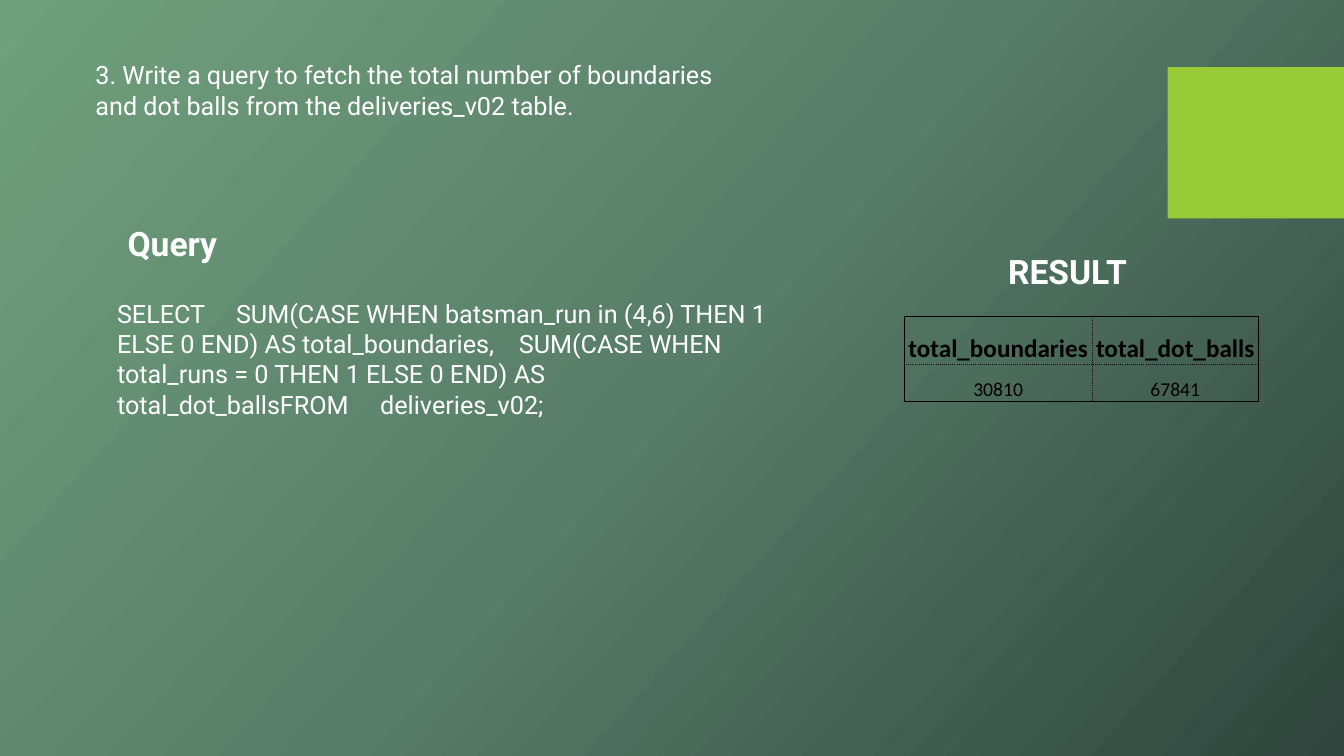
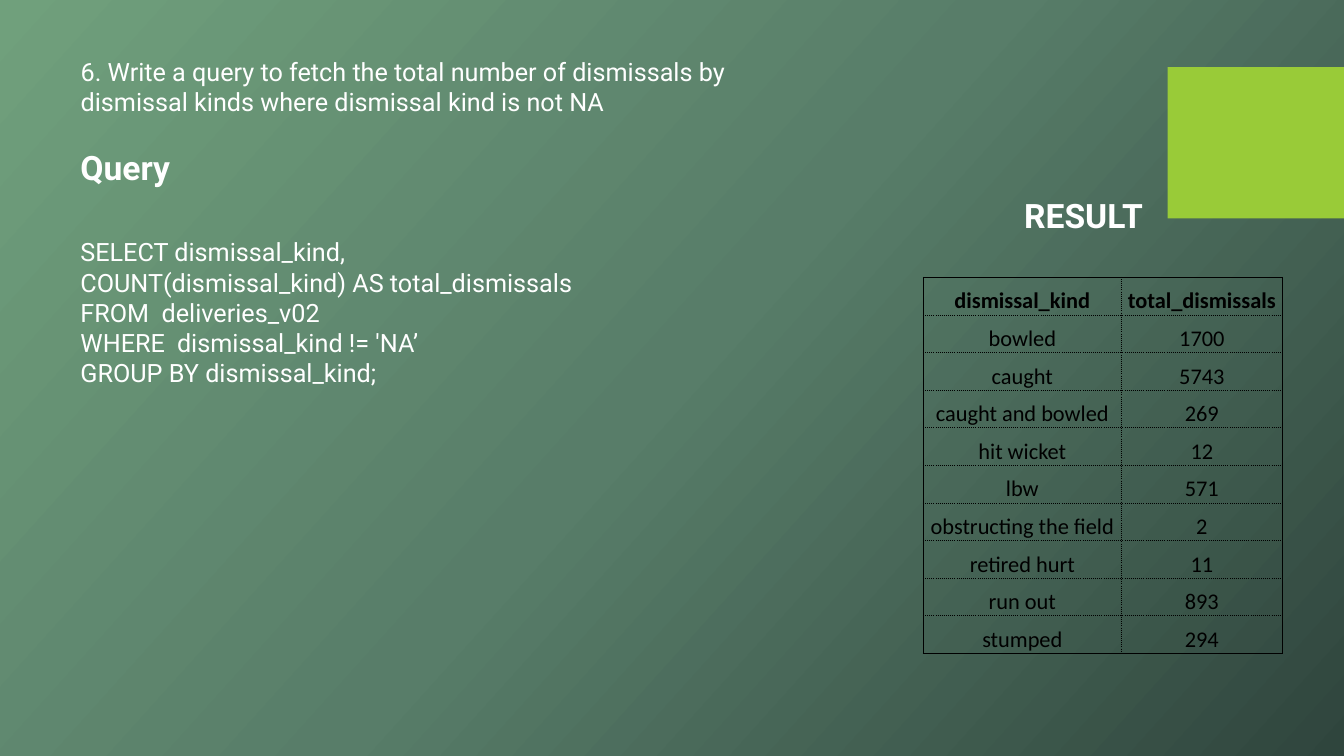
from lxml.etree import SubElement as Sub
from pptx import Presentation
from pptx.dml.color import RGBColor as RGB
from pptx.enum.shapes import MSO_SHAPE as SHAPE
from pptx.enum.text import MSO_ANCHOR as ANCHOR, MSO_AUTO_SIZE as FIT, PP_ALIGN as ALIGN
from pptx.oxml.ns import qn
from pptx.util import Pt

WHITE = RGB(0xFF, 0xFF, 0xFF)
BLACK = RGB(0, 0, 0)
LIME = RGB(0x99, 0xCB, 0x38)
FADE = {0: RGB(0x70, 0xA0, 0x7C), 50: RGB(0x58, 0x7D, 0x69), 100: RGB(0x2F, 0x45, 0x3D)}

BODY = dict(name="Roboto", size=Pt(18), bold=False)
HEAD = dict(name="Roboto", size=Pt(24), bold=True)
FRAME = dict(word_wrap=True, auto_size=FIT.SHAPE_TO_FIT_TEXT, vertical_anchor=ANCHOR.TOP)
CELL = dict(vertical_anchor=ANCHOR.BOTTOM, margin_left=Pt(0.7), margin_right=Pt(0.7),
            margin_top=Pt(0.7), margin_bottom=0)

PAGES = [
    dict(
        ask=("3. Write a query to fetch the total number of boundaries and dot balls "
             "from the deliveries_v02 table.", (61, 39, 480, 51)),
        query=(84, 155.5, 303, 36),
        result=(713, 175.5, 186, 36),
        code=("SELECT\tSUM(CASE WHEN batsman_run in (4,6) THEN 1 ELSE 0 END) AS "
              "total_boundaries,\tSUM(CASE WHEN total_runs = 0 THEN 1 ELSE 0 END) AS "
              "total_dot_ballsFROM\tdeliveries_v02;", (76.5, 209.5, 480, 94)),
        tabs=(85, 188, 287),
        grid=dict(at=(646, 226), cols=(134, 119), tall=(34, 27), sizes=(18, 14), rows=[
            ("total_boundaries", "total_dot_balls"),
            ("30810", "67841"),
        ]),
    ),
    dict(
        ask=("6. Write a query to fetch the total number of dismissals by dismissal kinds "
             "where dismissal kind is not NA", (50.4, 36.7, 480, 51)),
        query=(50.4, 101.5, 254, 36),
        result=(724.5, 135.5, 235, 36),
        code=("SELECT dismissal_kind,\n"
              "COUNT(dismissal_kind) AS total_dismissals\n"
              "FROM\tdeliveries_v02\n"
              "WHERE\tdismissal_kind != 'NA’\n"
              "GROUP BY dismissal_kind;", (50.4, 165.6, 482, 117)),
        tabs=(58, 69),
        grid=dict(at=(659.5, 198), cols=(141.5, 115), tall=(26.9, 26.9), sizes=(16, 16), rows=[
            ("dismissal_kind", "total_dismissals"),
            ("bowled", "1700"),
            ("caught", "5743"),
            ("caught and bowled", "269"),
            ("hit wicket", "12"),
            ("lbw", "571"),
            ("obstructing the field", "2"),
            ("retired hurt", "11"),
            ("run out", "893"),
            ("stumped", "294"),
        ]),
    ),
]


def apply(item, look):
    for key, value in look.items():
        setattr(item, key, value)


def paint(master):
    """Give every slide the diagonal green fade."""
    master.background.fill.gradient()
    grad = master.element.find(".//" + qn("a:gradFill"))
    for part in list(grad):
        grad.remove(part)
    stops = Sub(grad, qn("a:gsLst"))
    for place, color in FADE.items():
        stop = Sub(stops, qn("a:gs"), pos=str(place * 1000))
        Sub(stop, qn("a:srgbClr"), val=str(color))
    Sub(grad, qn("a:lin"), ang=str(42 * 60000), scaled="0")


def write(shape, text, box, look, tabs=()):
    """Place a text shape and format its paragraphs."""
    apply(shape, dict(zip(("left", "top", "width", "height"), map(Pt, box))))
    frame = shape.text_frame
    frame.text = text
    apply(frame, FRAME)
    for para in frame.paragraphs:
        para.alignment = ALIGN.LEFT
        apply(para.runs[0].font, look)
        para.runs[0].font.color.rgb = WHITE
        if tabs:
            stops = Sub(para._p.get_or_add_pPr(), qn("a:tabLst"))
            for tab in tabs:
                Sub(stops, qn("a:tab"), pos=str(Pt(tab)), algn="l")


def label(slide, text, box, look, tabs=()):
    write(slide.shapes.add_textbox(0, 0, 0, 0), text, box, look, tabs)


def edge(cell, solid):
    """Rule the cell: solid on the table's rim, dotted inside."""
    props = cell._tc.get_or_add_tcPr()
    for side in "LRTB":
        line = Sub(props, qn("a:ln" + side), w=str(Pt(0.5)))
        fill = Sub(line, qn("a:solidFill"))
        Sub(fill, qn("a:srgbClr"), val=str(BLACK))
        Sub(line, qn("a:prstDash"), val="solid" if side in solid else "dot")


def grid(slide, at, cols, tall, sizes, rows):
    """Draw the result table; the first row is its header."""
    last, end = len(rows) - 1, len(cols) - 1
    high = tall[0] + tall[1] * last
    table = slide.shapes.add_table(len(rows), len(cols), Pt(at[0]), Pt(at[1]),
                                   Pt(sum(cols)), Pt(high)).table
    table.first_row = table.horz_banding = False
    for col, wide in zip(table.columns, cols):
        col.width = Pt(wide)
    for r, row in enumerate(rows):
        kind = min(r, 1)
        table.rows[r].height = Pt(tall[kind])
        for c, text in enumerate(row):
            cell = table.cell(r, c)
            cell.text = text
            apply(cell, CELL)
            rim = {"L": c == 0, "R": c == end, "T": r == 0, "B": r == last}
            edge(cell, [side for side in rim if rim[side]])
            cell.fill.background()
            para = cell.text_frame.paragraphs[0]
            para.alignment = ALIGN.CENTER
            font = para.runs[0].font
            apply(font, dict(name="Calibri", size=Pt(sizes[kind]), bold=r == 0))
            font.color.rgb = BLACK


def block(slide, x, y, wide, high):
    """Draw the lime block at the right edge."""
    shape = slide.shapes.add_shape(SHAPE.RECTANGLE, Pt(x), Pt(y), Pt(wide), Pt(high))
    shape.shadow.inherit = False
    shape.fill.solid()
    shape.fill.fore_color.rgb = LIME
    shape.line.fill.background()


def page(deck, ask, query, result, code, tabs, grid_spec):
    """Build one question slide: title, query, result."""
    slide = deck.slides.add_slide(deck.slide_layouts.get_by_name("Title Only"))
    block(slide, 834, 48, 126, 108)
    write(slide.shapes.title, *ask, BODY)
    label(slide, "Query", query, HEAD)
    label(slide, "RESULT", result, HEAD)
    label(slide, *code, BODY, tabs)
    grid(slide, **grid_spec)


def main():
    deck = Presentation()
    deck.slide_width, deck.slide_height = Pt(960), Pt(540)
    paint(deck.slide_master)
    for item in PAGES:
        page(deck, *item.values())
    deck.save("out.pptx")


if __name__ == "__main__":
    main()
